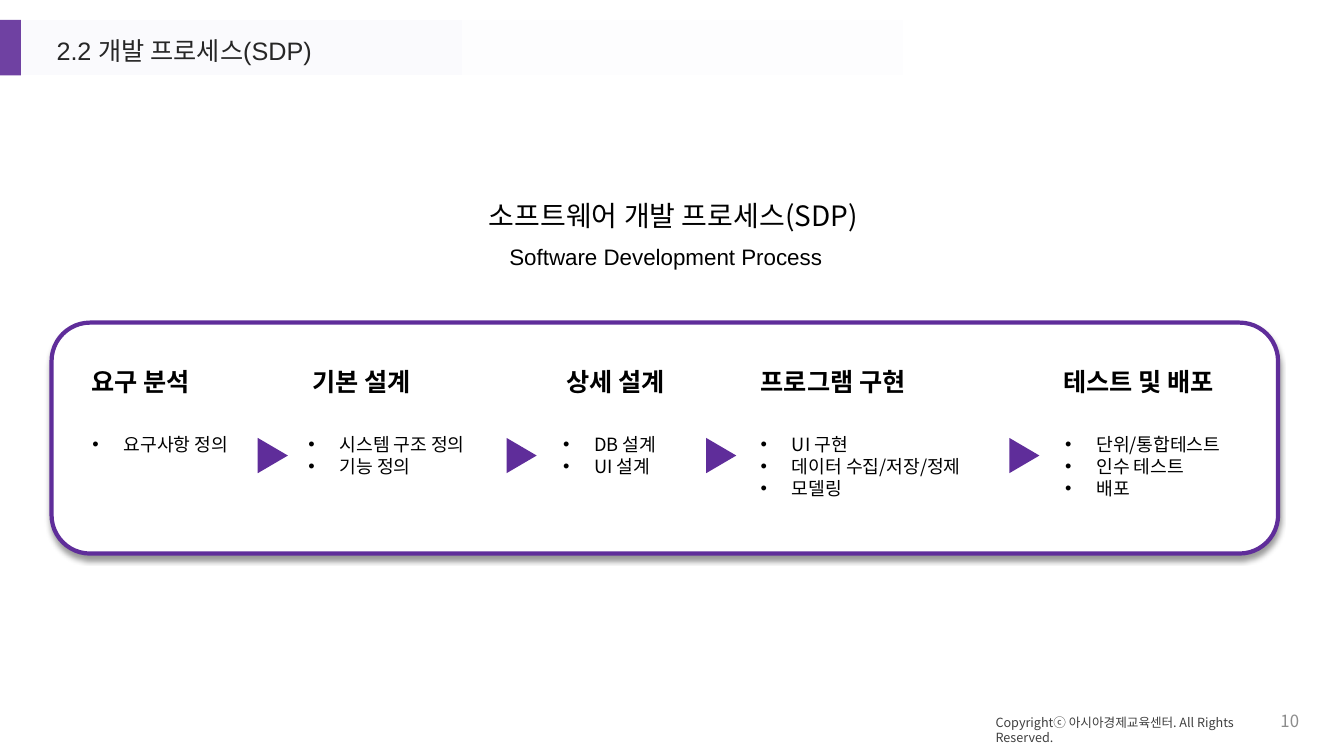
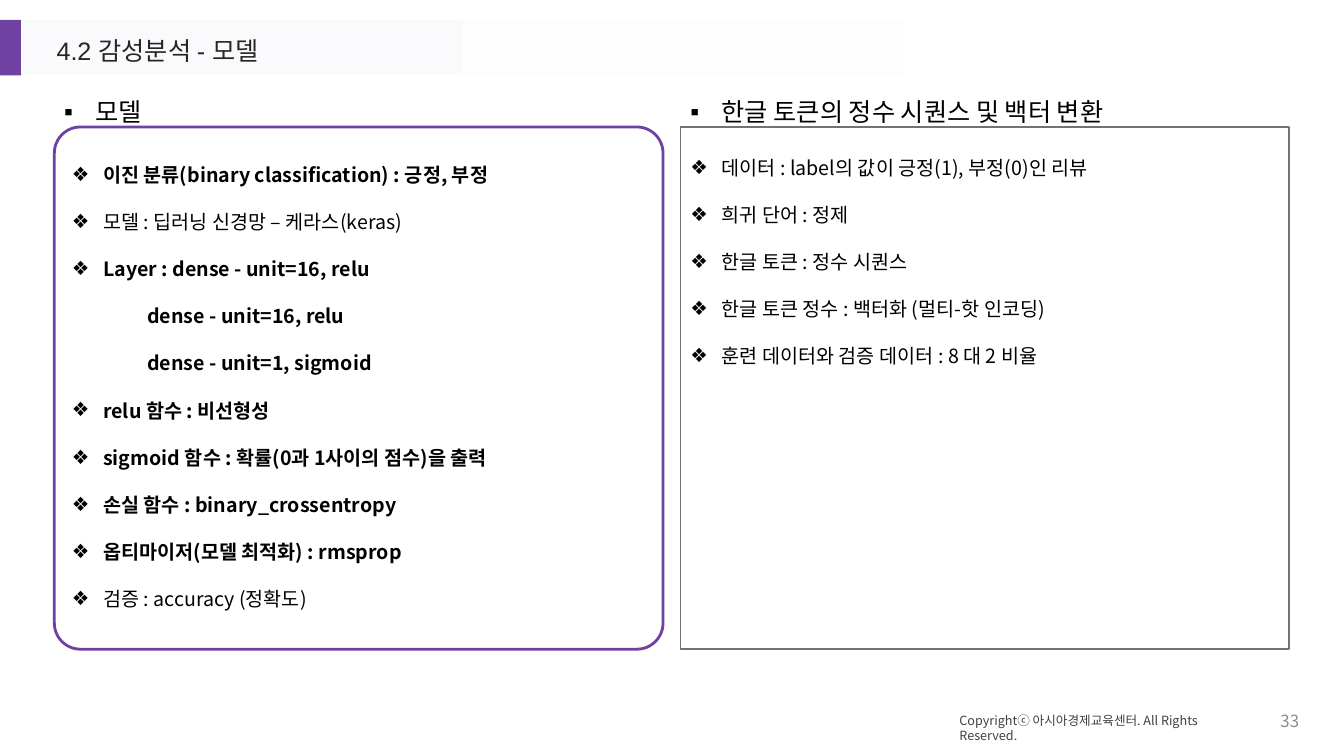
from lxml import etree
from pptx import Presentation
from pptx import util as u
from pptx.dml.color import RGBColor
from pptx.enum import shapes, text
from pptx.oxml import ns

Cm = u.Cm
SANS, LATIN = "Noto Sans CJK KR", "Arial"
PURPLE, DEEP, BLACK = "6F41A2", "5F2D9A", "000000"
COPYRIGHT = "Copyrightⓒ 아시아경제교육센터. All Rights Reserved."
BULLET_INDENT = 0.79


def rgb(value):
    return RGBColor.from_string(value)


def child(parent, tag, **attrs):
    return etree.SubElement(parent, ns.qn(tag), attrs)


class Deck:
    """Shared style plus the slide being built."""

    def __init__(self):
        self.prs = Presentation()
        self.prs.slide_width, self.prs.slide_height = Cm(33.87), Cm(19.05)
        self.s = None

    def slide(self, title, number, footer_left, footer_top):
        self.s = self.prs.slides.add_slide(self.prs.slide_layouts[5])
        # Title band
        band = self.shape("RECTANGLE", 0.53, 0.5, 33.34, 1.4, fill="FFFFFF")
        band.fill.gradient()
        band.fill.gradient_angle = 0
        for stop, color in zip(band.fill.gradient_stops, ("FAFAFD", "FFFFFF")):
            stop.color.rgb = rgb(color)
        self.shape("RECTANGLE", 0, 0.5, 0.53, 1.4, fill=PURPLE)
        # Title placeholder, raised above the band
        sp = self.s.shapes.title
        self.s.shapes._spTree.append(sp._element)
        sp.left, sp.top, sp.width, sp.height = map(Cm, (1.17, 0.84, 20, 1))
        self.set_text(sp.text_frame, [title], 18, "262626", font=LATIN, spacing=0.9)
        # Footer
        self.text([COPYRIGHT], footer_left, footer_top, 7.77, 0.64, 9, color="404040")
        self.text([str(number)], 31.42, 17.65, 1.57, 1.02, 12, color="8C8C8C",
                  align="RIGHT", anchor="MIDDLE")

    def shape(self, kind, x, y, w, h, fill=None, line=None, width=1):
        sp = self.s.shapes.add_shape(getattr(shapes.MSO_SHAPE, kind),
                                     Cm(x), Cm(y), Cm(w), Cm(h))
        sp.shadow.inherit = False
        if fill:
            sp.fill.solid()
            sp.fill.fore_color.rgb = rgb(fill)
        else:
            sp.fill.background()
        if line:
            sp.line.color.rgb = rgb(line)
            sp.line.width = u.Pt(width)
        else:
            sp.line.fill.background()
        return sp

    def drop_shadow(self, sp):
        effects = sp._element.spPr.find(ns.qn("a:effectLst"))
        shadow = child(effects, "a:outerShdw", blurRad=str(u.Pt(4)),
                       dist=str(u.Pt(3)), dir="5400000", rotWithShape="0")
        child(child(shadow, "a:srgbClr", val=BLACK), "a:alpha", val="40000")

    def text(self, lines, x, y, w, h, size, **style):
        sp = self.s.shapes.add_textbox(Cm(x), Cm(y), Cm(w), Cm(h))
        self.set_text(sp.text_frame, lines, size, **style)

    def set_text(self, tf, lines, size, color=BLACK, font=SANS, bold=False, align="LEFT",
                 anchor="TOP", spacing=None, bullet=None, plain=(), nested=()):
        """plain and nested hold indexes of non-bold and unbulleted inner lines."""
        tf.word_wrap = True
        tf.auto_size = text.MSO_AUTO_SIZE.NONE
        tf.vertical_anchor = getattr(text.MSO_ANCHOR, anchor)
        for i, line in enumerate(lines):
            p = tf.paragraphs[0] if i == 0 else tf.add_paragraph()
            p.text = line
            p.alignment = getattr(text.PP_ALIGN, align)
            if spacing:
                p.line_spacing = spacing
            if i in nested:
                p._p.get_or_add_pPr().set("marL", str(Cm(1.9)))
            elif bullet:
                self.bullet(p, bullet)
            for r in p.runs:
                r.font.size, r.font.name = u.Pt(size), font
                r.font.bold = bold and i not in plain
                r.font.color.rgb = rgb(color)
                child(r._r.get_or_add_rPr(), "a:ea", typeface=SANS)

    def bullet(self, p, char):
        pPr = p._p.get_or_add_pPr()
        pPr.set("marL", str(Cm(BULLET_INDENT)))
        pPr.set("indent", str(-Cm(BULLET_INDENT)))
        child(pPr, "a:buFont", typeface=LATIN)
        child(pPr, "a:buChar", char=char)

    def arrow(self, x, y):
        self.shape("ISOSCELES_TRIANGLE", x, y, 0.89, 0.76, fill=DEEP).rotation = 90

    def panel(self, kind, x, heading, lines, line, width, **style):
        self.text([heading], x, 2.16, 13.34, 1.09, 18, spacing=1.2, bullet="▪")
        sp = self.shape(kind, x, 3.2, 15.34, 13.16, line=line, width=width)
        if kind == "ROUNDED_RECTANGLE":
            sp.adjustments[0] = 0.05
        self.set_text(sp.text_frame, lines, 14, spacing=2.0, bullet="❖", **style)


def process_slide(deck):
    deck.slide("2.2 개발 프로세스(SDP)", 10, 24.84, 17.88)
    deck.text(["소프트웨어 개발 프로세스(SDP)"], 11.28, 4.88, 11.38, 1.12, 20, align="CENTER")
    deck.text(["Software Development Process"], 11.84, 6, 9.88, 0.94, 16,
              font=LATIN, align="CENTER")
    frame = deck.shape("ROUNDED_RECTANGLE", 1.3, 8.13, 30.91, 5.82, "FFFFFF", DEEP, 3)
    deck.drop_shadow(frame)
    # Stages: heading left, list left, heading, tasks
    stages = [
        (2.06, 2.08, "요구 분석", ["요구사항 정의"]),
        (7.62, 7.52, "기본 설계", ["시스템 구조 정의", "기능 정의"]),
        (14.02, 13.94, "상세 설계", ["DB 설계", "UI 설계"]),
        (18.92, 18.92, "프로그램 구현", ["UI 구현", "데이터 수집/저장/정제", "모델링"]),
        (26.54, 26.59, "테스트 및 배포", ["단위/통합테스트", "인수 테스트", "배포"]),
    ]
    for head_x, list_x, heading, tasks in stages:
        deck.text([heading], head_x, 9.1, 5.59, 1.02, 18, bold=True)
        deck.text(tasks, list_x, 10.8, 6.2, 0.25 + 0.56 * len(tasks), 13, bullet="•")
    for x in (6.43, 12.7, 17.73, 25.37):
        deck.arrow(x, 11.1)


def model_slide(deck):
    deck.slide("4.2 감성분석 - 모델", 33, 23.93, 17.83)
    model = [
        "이진 분류(binary classification) : 긍정, 부정",
        "모델 : 딥러닝 신경망 – 케라스(keras)",
        "Layer : dense - unit=16, relu",
        "dense - unit=16, relu",
        "dense - unit=1, sigmoid",
        "relu 함수 : 비선형성",
        "sigmoid 함수 : 확률(0과 1사이의 점수)을 출력",
        "손실 함수 : binary_crossentropy",
        "옵티마이저(모델 최적화) : rmsprop",
        "검증 : accuracy (정확도)",
    ]
    deck.panel("ROUNDED_RECTANGLE", 1.37, "모델", model, PURPLE, 2,
               bold=True, plain=(1, 9), nested=(3, 4))
    conversion = [
        "데이터 : label의 값이 긍정(1), 부정(0)인 리뷰",
        "희귀 단어 : 정제",
        "한글 토큰 : 정수 시퀀스",
        "한글 토큰 정수 : 백터화 (멀티-핫 인코딩)",
        "훈련 데이터와 검증 데이터 : 8 대 2 비율",
    ]
    deck.panel("RECTANGLE", 17.15, "한글 토큰의 정수 시퀀스 및 백터 변환", conversion,
               "767171", 1)


def main():
    deck = Deck()
    process_slide(deck)
    model_slide(deck)
    deck.prs.save("out.pptx")


if __name__ == "__main__":
    main()
